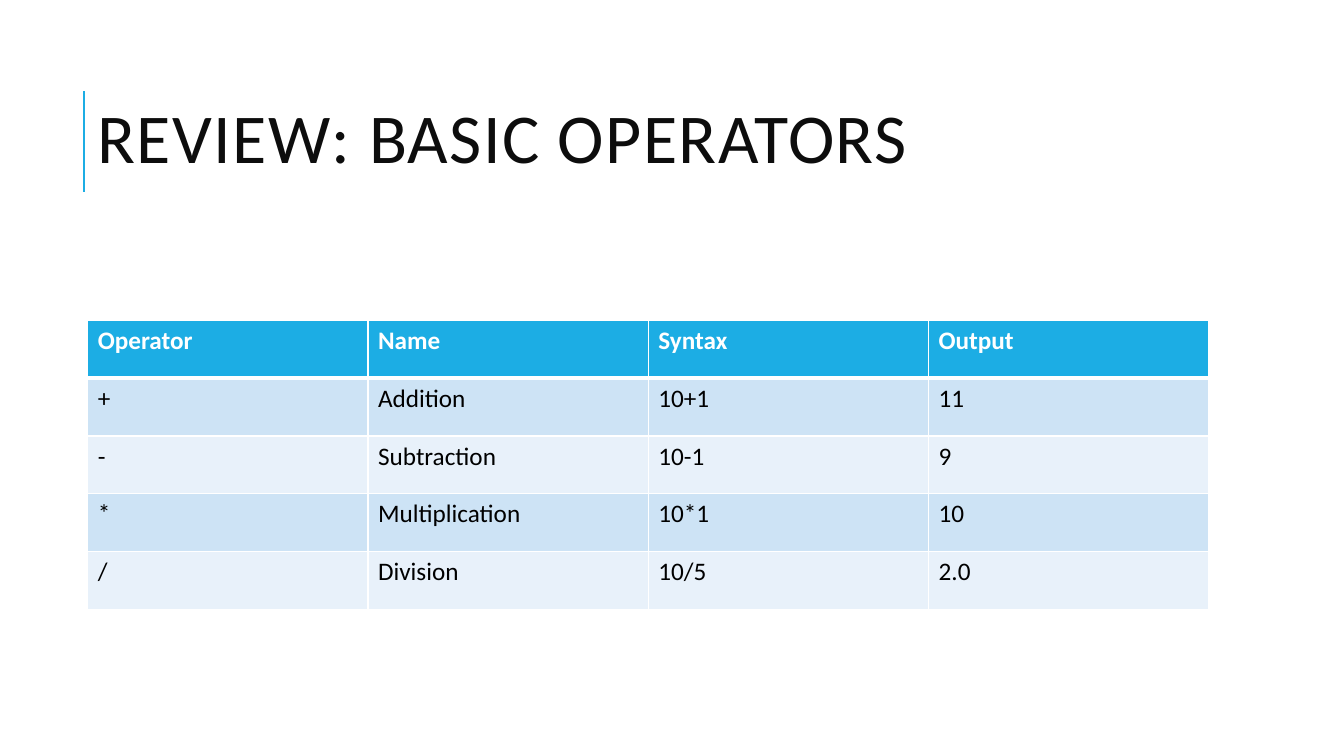
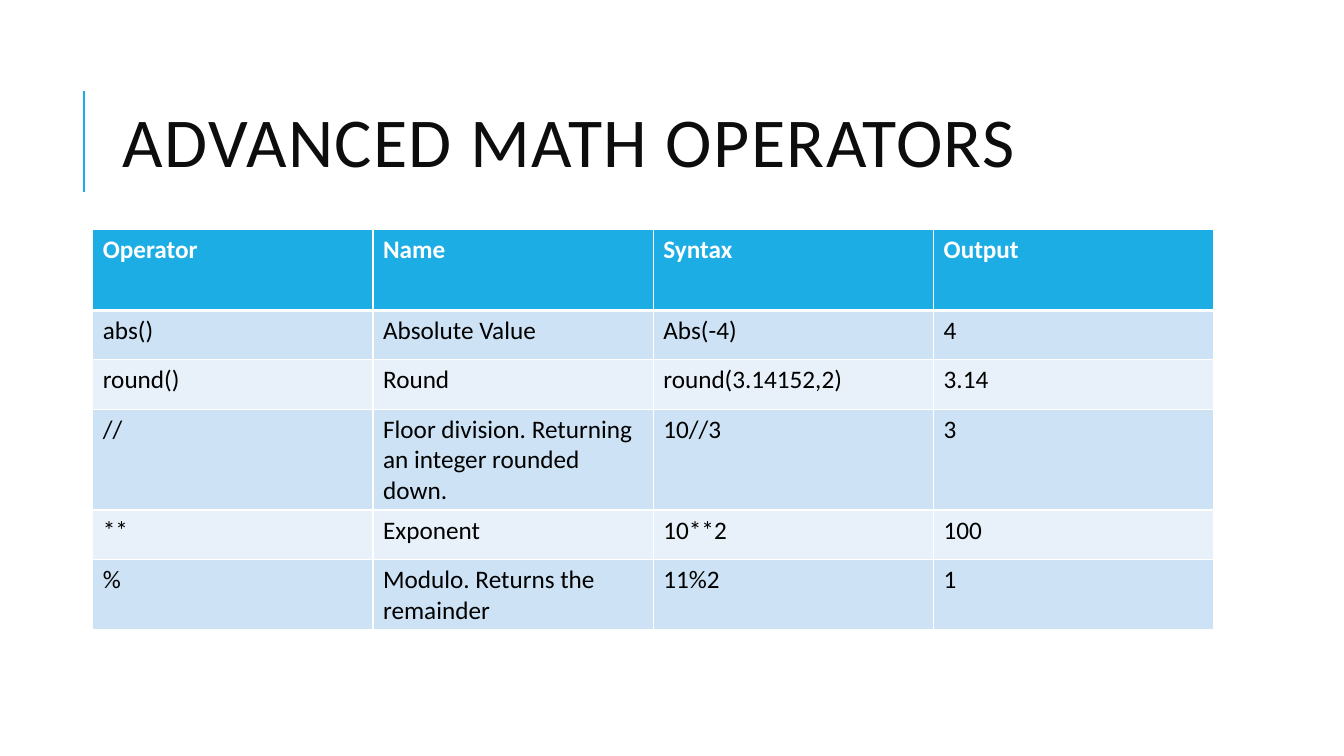
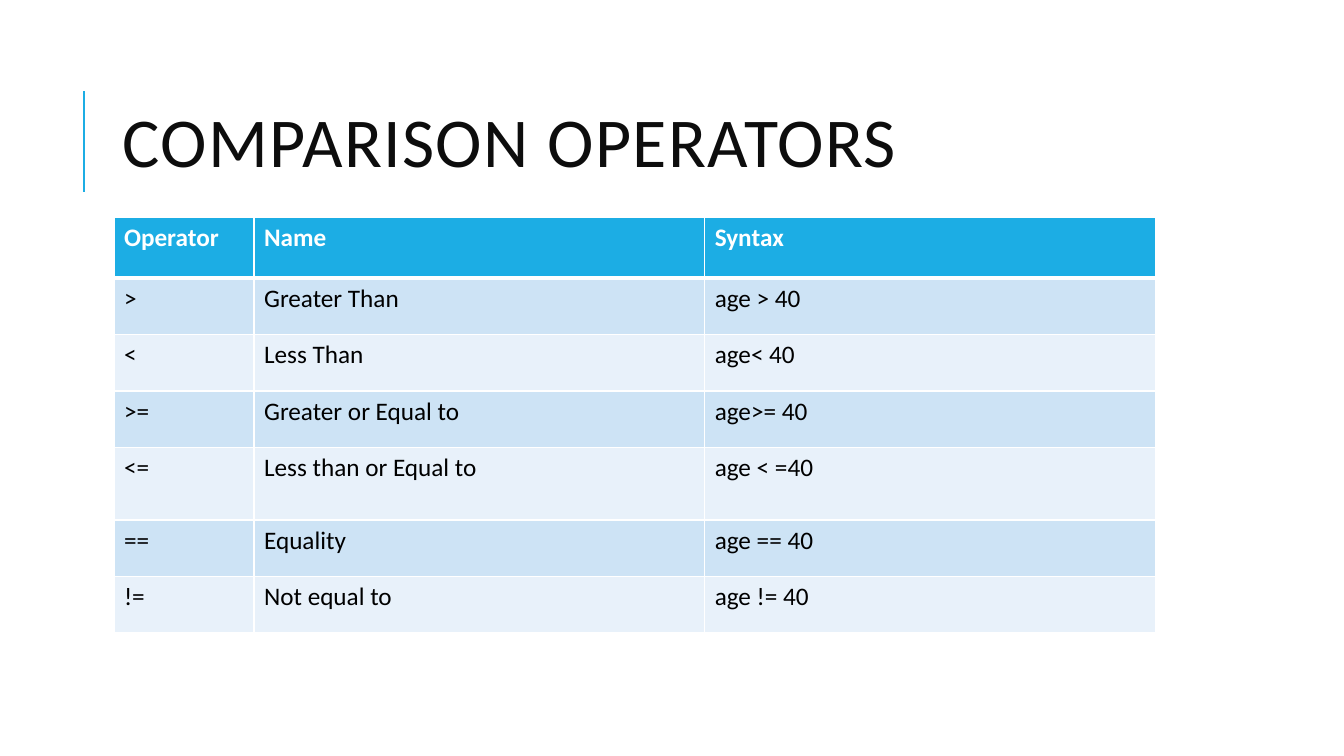
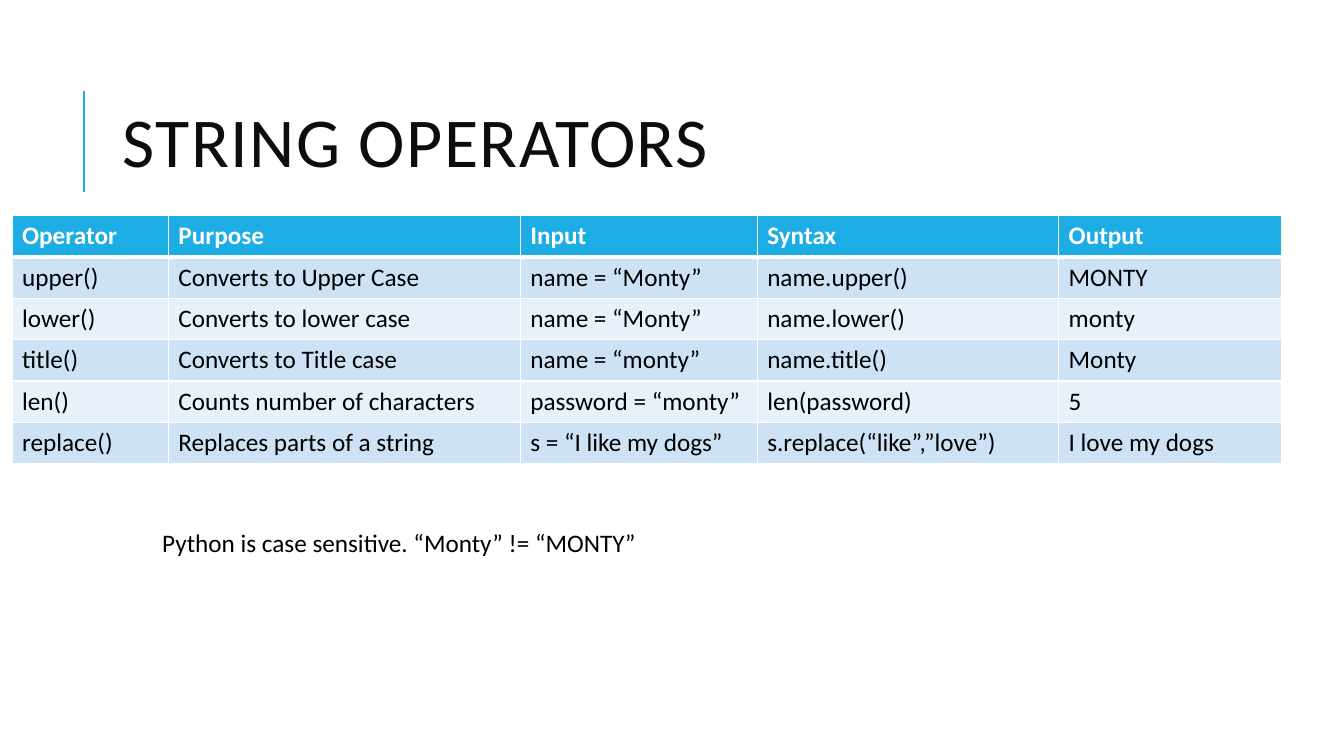
import lxml.etree
import pptx
import pptx.dml.color
import pptx.enum.shapes
import pptx.enum.text
import pptx.oxml.ns
import pptx.util

Inches = pptx.util.Inches
FONT = "Calibri"
ACCENT = "1CADE4"
WHITE = "FFFFFF"
BLACK = "000000"
TITLE_COLOUR = "0D0D0D"
ROW_BANDS = ("CDE3F5", "E8F1FA")
TITLE_BOX = (1.12, 0.64, 10.63, 1.64)

BASIC_OPERATORS = [
    ("Operator", "Name", "Syntax", "Output"),
    ("+", "Addition", "10+1", "11"),
    ("-", "Subtraction", "10-1", "9"),
    ("*", "Multiplication", "10*1", "10"),
    ("/", "Division", "10/5", "2.0"),
]
MATH_OPERATORS = [
    ("Operator", "Name", "Syntax", "Output"),
    ("abs()", "Absolute Value", "Abs(-4)", "4"),
    ("round()", "Round", "round(3.14152,2)", "3.14"),
    ("//", "Floor division. Returning an integer rounded down.", "10//3", "3"),
    ("**", "Exponent", "10**2", "100"),
    ("%", "Modulo. Returns the remainder", "11%2", "1"),
]
COMPARISON_OPERATORS = [
    ("Operator", "Name", "Syntax"),
    (">", "Greater Than", "age > 40"),
    ("<", "Less Than", "age< 40"),
    (">=", "Greater or Equal to", "age>= 40"),
    ("<=", "Less than or Equal to", "age < =40"),
    ("==", "Equality", "age == 40"),
    ("!=", "Not equal to", "age != 40"),
]
STRING_OPERATORS = [
    ("Operator", "Purpose", "Input", "Syntax", "Output"),
    ("upper()", "Converts to Upper Case", "name = “Monty”", "name.upper()", "MONTY"),
    ("lower()", "Converts to lower case", "name = “Monty”", "name.lower()", "monty"),
    ("title()", "Converts to Title case", "name = “monty”", "name.title()", "Monty"),
    ("len()", "Counts number of characters", "password = “monty”", "len(password)", "5"),
    ("replace()", "Replaces parts of a string", "s = “I like my dogs”",
     "s.replace(“like”,”love”)", "I love my dogs"),
]


def colour(hex_value):
    """Turn a hex string into a colour."""
    return pptx.dml.color.RGBColor.from_string(hex_value)


def write(frame, text, size, hex_value, bold=False):
    """Put one styled paragraph in a text frame and return it."""
    frame.word_wrap = True
    paragraph = frame.paragraphs[0]
    paragraph.text = text
    font = paragraph.font
    font.name, font.size, font.bold = FONT, pptx.util.Pt(size), bold
    font.color.rgb = colour(hex_value)
    return paragraph


def add_text(slide, box, text, size, hex_value):
    """Add a text box at a box in inches and return its frame and paragraph."""
    frame = slide.shapes.add_textbox(*map(Inches, box)).text_frame
    return frame, write(frame, text, size, hex_value)


def add_title(slide, text, box):
    """Add the accent rule and the slide title."""
    rule = slide.shapes.add_connector(
        pptx.enum.shapes.MSO_CONNECTOR.STRAIGHT,
        Inches(0.83), Inches(1.9), Inches(0.83), Inches(0.9))
    rule.line.color.rgb = colour(ACCENT)
    rule.line.width = pptx.util.Pt(1.5)
    lxml.etree.SubElement(rule._element.spPr, pptx.oxml.ns.qn("a:effectLst"))
    frame, heading = add_text(slide, box, text, 50, TITLE_COLOUR)
    frame.vertical_anchor = pptx.enum.text.MSO_ANCHOR.MIDDLE
    heading.line_spacing = 0.8
    heading._p.get_or_add_pPr().get_or_add_defRPr().set("spc", "100")


def add_borders(cell, **widths):
    """Give a cell white borders of the given widths in points."""
    properties = cell._tc.get_or_add_tcPr()
    for side in "LRTB":
        edge = lxml.etree.SubElement(
            properties, pptx.oxml.ns.qn("a:ln" + side),
            w=str(pptx.util.Pt(widths.get(side, 1))))
        fill = lxml.etree.SubElement(edge, pptx.oxml.ns.qn("a:solidFill"))
        lxml.etree.SubElement(fill, pptx.oxml.ns.qn("a:srgbClr"), val=WHITE)


def add_operator_table(slide, left, top, widths, heights, rows):
    """Add a table with an accent header and banded rows."""
    box = (left, top, sum(widths), sum(heights))
    table = slide.shapes.add_table(len(rows), len(widths), *map(Inches, box)).table
    for column, width in zip(table.columns, widths):
        column.width = Inches(width)
    for index, (row, height, texts) in enumerate(zip(table.rows, heights, rows)):
        row.height = Inches(height)
        header = index == 0
        for cell, text in zip(row.cells, texts):
            add_borders(cell, T=3 if index == 1 else 1, B=3 if header else 1)
            cell.fill.solid()
            cell.fill.fore_color.rgb = colour(ACCENT if header else ROW_BANDS[(index - 1) % 2])
            write(cell.text_frame, text, 18, WHITE if header else BLACK, header)


def add_operator_slide(deck, title, left, top, widths, heights, rows, title_box=TITLE_BOX):
    """Add a slide with a title and an operator table."""
    slide = deck.slides.add_slide(deck.slide_layouts[6])
    add_title(slide, title, title_box)
    add_operator_table(slide, left, top, widths, heights, rows)
    return slide


def main():
    """Build and save the presentation."""
    deck = pptx.Presentation()
    deck.slide_width, deck.slide_height = Inches(13.33), Inches(7.5)
    add_operator_slide(deck, "REVIEW: BASIC OPERATORS", 0.87, 3.18,
                       [2.78] * 4, [0.573] * 5, BASIC_OPERATORS, (0.87, 0.73, 9.4, 1.38))
    add_operator_slide(deck, "ADVANCED MATH OPERATORS", 0.92, 2.28,
                       [2.78] * 4, [0.8, 0.49, 0.49, 0.6, 0.49, 0.6], MATH_OPERATORS)
    add_operator_slide(deck, "COMPARISON OPERATORS", 1.13, 2.16,
                       [1.39, 4.47, 4.47], [0.6] + [0.56] * 3 + [0.72] + [0.56] * 2,
                       COMPARISON_OPERATORS)
    strings = add_operator_slide(deck, "STRING OPERATORS", 0.12, 2.14,
                                 [1.55, 3.49, 2.35, 2.99, 2.21], [0.41] * 6, STRING_OPERATORS)
    add_text(strings, (1.51, 5.18, 5.92, 0.4),
             "Python is case sensitive. “Monty” != “MONTY”", 18, BLACK)
    deck.save("out.pptx")


if __name__ == "__main__":
    main()
